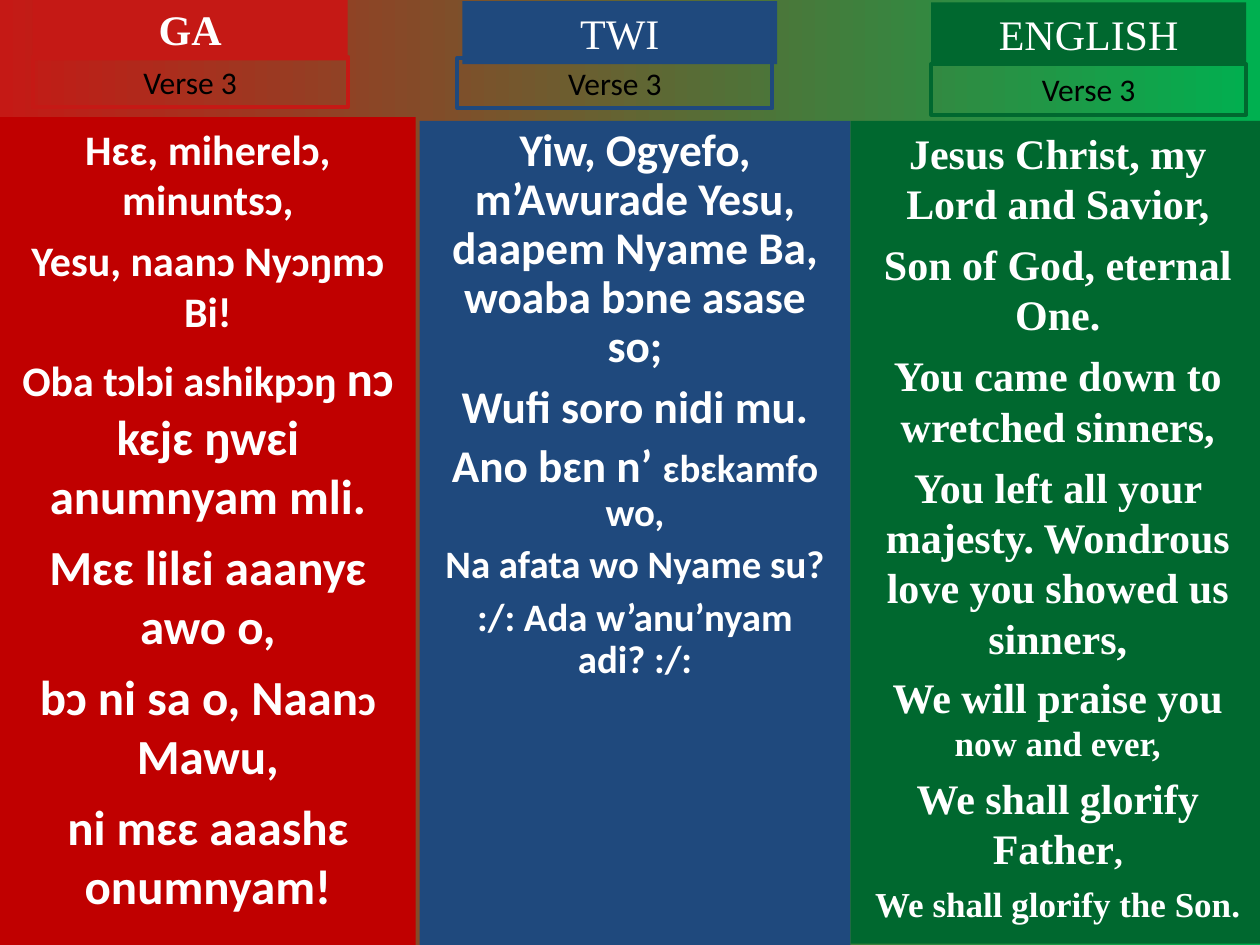
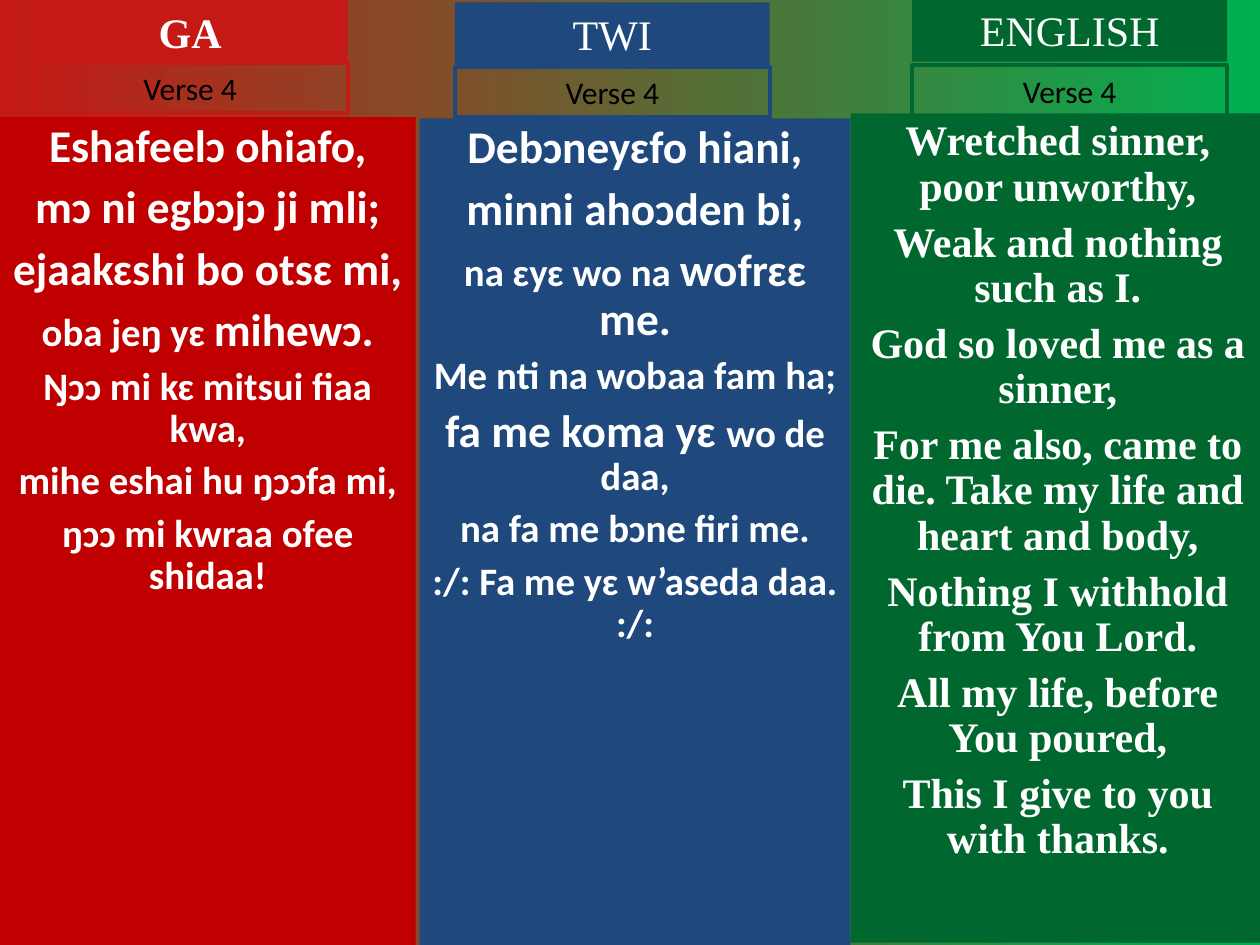
from dataclasses import dataclass

from pptx import Presentation
from pptx.dml.color import RGBColor
from pptx.enum.shapes import MSO_SHAPE as Preset
from pptx.enum.text import MSO_ANCHOR as Anchor, MSO_AUTO_SIZE as AutoSize, PP_ALIGN as Align
from pptx.util import Pt

SANS, SERIF = "Calibri", "Times New Roman"
RED, DARK_RED, BLUE, GREEN = "C51915", "C00000", "1F497D", "00682F"
BRIGHT_GREEN, WHITE, BLACK = "00B050", "FFFFFF", "000000"
PAGE_WIDTH, PAGE_HEIGHT = 720, 540
LABEL_WIDTH, TITLE_HEIGHT, VERSE_HEIGHT = 180, 36, 28.8
BIG, MID, SMALL = 28, 24, 20
WIDE, NARROW = 25.9, 22.2  # sizes of the tightly set lyrics


@dataclass(frozen=True)
class Span:
    text: str
    size: float
    font: str = SANS
    color: str = WHITE
    bold: bool = True


@dataclass(frozen=True)
class Lyric:
    before: float
    phrases: tuple[tuple[str, float], ...]


@dataclass(frozen=True)
class Language:
    name: str
    accent: str
    panel: str
    font: str
    left: float
    width: float
    bold_title: bool = False


@dataclass(frozen=True)
class Column:
    language: Language
    title_at: tuple[float, float]
    verse_at: tuple[float, float]
    top: float
    bottom: float
    spacing: float
    lyrics: tuple[Lyric, ...]


@dataclass(frozen=True)
class Verse:
    label: str
    columns: tuple[Column, ...]


GA = Language("GA", RED, DARK_RED, SANS, 0, 237.6, bold_title=True)
TWI = Language("TWI", BLUE, BLUE, SANS, 239.8, 246.2)
ENGLISH = Language("ENGLISH", GREEN, GREEN, SERIF, 486, 236.9)


def lyric(before: float, *phrases: tuple[str, float]) -> Lyric:
    return Lyric(before, phrases)


def plain(before: float, size: float, *lines: str) -> tuple[Lyric, ...]:
    """Lyrics of one size and one gap."""
    return tuple(lyric(before, (line, size)) for line in lines)


VERSES = (
    Verse("Verse 3", (
        Column(GA, (18.7, -1.4), (18.7, 32.4), 67, 540, 1, (
            *plain(6, MID, "Hɛɛ, miherelɔ, minuntsɔ,", "Yesu, naanɔ Nyɔŋmɔ Bi!"),
            lyric(7, ("Oba tɔlɔi ashikpɔŋ ", MID), ("nɔ kɛjɛ ŋwɛi anumnyam mli.", BIG)),
            *plain(7, BIG, "Mɛɛ lilɛi aaanyɛ awo o,"),
            lyric(7, ("bɔ ni sa o, Naan", BIG), ("ɔ ", MID), ("Mawu,", BIG)),
            *plain(7, BIG, "ni mɛɛ aaashɛ onumnyam!"),
        )),
        Column(TWI, (264.2, 0.7), (261.4, 33.1), 69.1, 540, 0.9, (
            *plain(7, WIDE,
                   "Yiw, Ogyefo, m’Awurade Yesu, daapem Nyame Ba, woaba bɔne asase so;",
                   "Wufi soro nidi mu."),
            lyric(6, ("Ano bɛn n’ ", WIDE), ("ɛbɛkamfo wo,", NARROW)),
            *plain(6, NARROW, "Na afata wo Nyame su?", ":/: Ada w’anu’nyam adi? :/:"),
        )),
        Column(ENGLISH, (532.1, 1.4), (532.1, 36.7), 69.1, 539.3, 1, (
            *plain(6, MID,
                   "Jesus Christ, my Lord and Savior,",
                   "Son of God, eternal One.",
                   "You came down to wretched sinners,",
                   "You left all your majesty. Wondrous love you showed us sinners,"),
            lyric(5, ("We will praise you ", MID), ("now and ever,", SMALL)),
            lyric(5, ("We shall glorify Father", MID), (",", SMALL)),
            *plain(5, SMALL, "We shall glorify the Son."),
        )),
    )),
    Verse("Verse 4", (
        Column(GA, (18.7, 0), (18.7, 36), 67, 540, 0.9, (
            *plain(7, WIDE, "Eshafeelɔ ohiafo,", "mɔ ni egbɔjɔ ji mli;",
                   "ejaakɛshi bo otsɛ mi,"),
            lyric(7, ("oba jeŋ yɛ ", NARROW), ("mihewɔ.", WIDE)),
            *plain(6, NARROW, "Ŋɔɔ mi kɛ mitsui fiaa kwa,", "mihe eshai hu ŋɔɔfa mi,",
                   "ŋɔɔ mi kwraa ofee shidaa!"),
        )),
        Column(TWI, (259.9, 1.4), (259.9, 38.2), 67.7, 540, 0.9, (
            *plain(7, WIDE, "Debɔneyɛfo hiani,", "minni ahoɔden bi,"),
            lyric(7, ("na ɛyɛ wo na ", NARROW), ("wofrɛɛ me.", WIDE)),
            *plain(6, NARROW, "Me nti na wobaa fam ha;"),
            lyric(6, ("fa me koma yɛ ", WIDE), ("wo de daa,", NARROW)),
            *plain(6, NARROW, "na fa me bɔne firi me.", ":/: Fa me yɛ w’aseda daa. :/:"),
        )),
        Column(ENGLISH, (521.3, -0.7), (521.3, 37.4), 64.8, 538.6, 0.9, plain(
            6, MID,
            "Wretched sinner, poor unworthy,",
            "Weak and nothing such as I.",
            "God so loved me as a sinner,",
            "For me also, came to die. Take my life and heart and body,",
            "Nothing I withhold from You Lord.",
            "All my life, before You poured,",
            "This I give to you with thanks.",
        )),
    )),
)


def rgb(value: str) -> RGBColor:
    return RGBColor.from_string(value)


def add_box(page, left: float, top: float, width: float, height: float,
            fill: str | None = None, line: str | None = None):
    """Rectangle with top-anchored, wrapping text."""
    box = page.shapes.add_shape(Preset.RECTANGLE, Pt(left), Pt(top), Pt(width), Pt(height))
    box.shadow.inherit = False
    if fill:
        box.fill.solid()
        box.fill.fore_color.rgb = rgb(fill)
    else:
        box.fill.background()
    if line:
        box.line.color.rgb = rgb(line)
        box.line.width = Pt(2.25)
    else:
        box.line.fill.background()
    frame = box.text_frame
    frame.word_wrap = True
    frame.vertical_anchor = Anchor.TOP
    frame.auto_size = AutoSize.NONE
    return box


def write(para, *spans: Span) -> None:
    para.alignment = Align.CENTER
    for span in spans:
        run = para.add_run()
        run.text = span.text
        run.font.name = span.font
        run.font.size = Pt(span.size)
        run.font.bold = span.bold
        run.font.color.rgb = rgb(span.color)


def add_label(page, at: tuple[float, float], height: float, span: Span,
              fill: str | None = None, line: str | None = None) -> None:
    box = add_box(page, *at, LABEL_WIDTH, height, fill, line)
    box.text_frame.auto_size = AutoSize.SHAPE_TO_FIT_TEXT
    write(box.text_frame.paragraphs[0], span)


def add_column(page, column: Column, verse_label: str) -> None:
    language = column.language
    # Lyrics panel
    panel = add_box(page, language.left, column.top, language.width,
                    column.bottom - column.top, language.panel)
    frame = panel.text_frame
    for index, line in enumerate(column.lyrics):
        para = frame.add_paragraph() if index else frame.paragraphs[0]
        para.line_spacing = column.spacing
        para.space_before = Pt(line.before if index else 0)
        write(para, *(Span(text, size, language.font) for text, size in line.phrases))
    # Language title and verse label
    add_label(page, column.title_at, TITLE_HEIGHT,
              Span(language.name, MID, SERIF, bold=language.bold_title), fill=language.accent)
    add_label(page, column.verse_at, VERSE_HEIGHT,
              Span(verse_label, 18, color=BLACK, bold=False), line=language.accent)


def paint_background(page) -> None:
    fill = page.background.fill
    fill.gradient()
    fill.gradient_angle = 0
    for stop, position, color in zip(fill.gradient_stops, (0, 1), (RED, BRIGHT_GREEN)):
        stop.position = position
        stop.color.rgb = rgb(color)


def main() -> None:
    deck = Presentation()
    deck.slide_width, deck.slide_height = Pt(PAGE_WIDTH), Pt(PAGE_HEIGHT)
    for verse in VERSES:
        page = deck.slides.add_slide(deck.slide_layouts[6])
        paint_background(page)
        for column in verse.columns:
            add_column(page, column, verse.label)
    deck.save("out.pptx")


if __name__ == "__main__":
    main()
